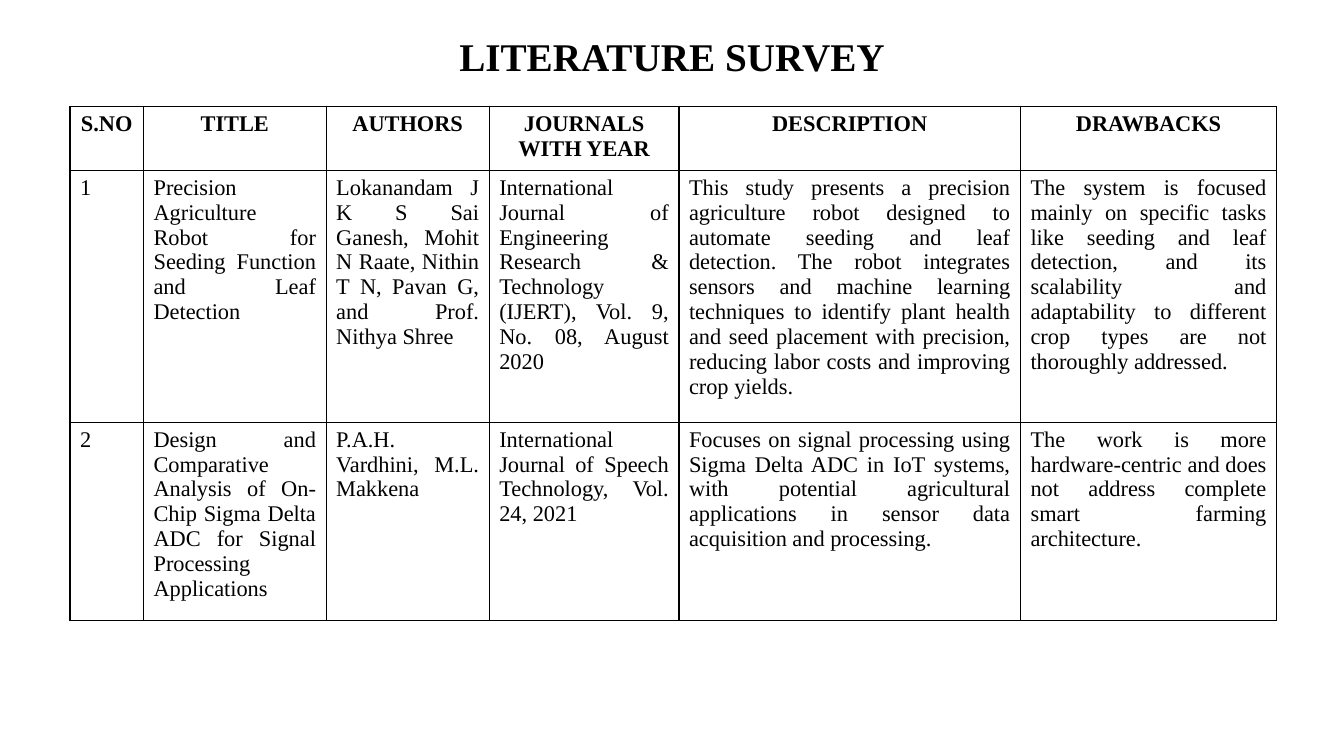
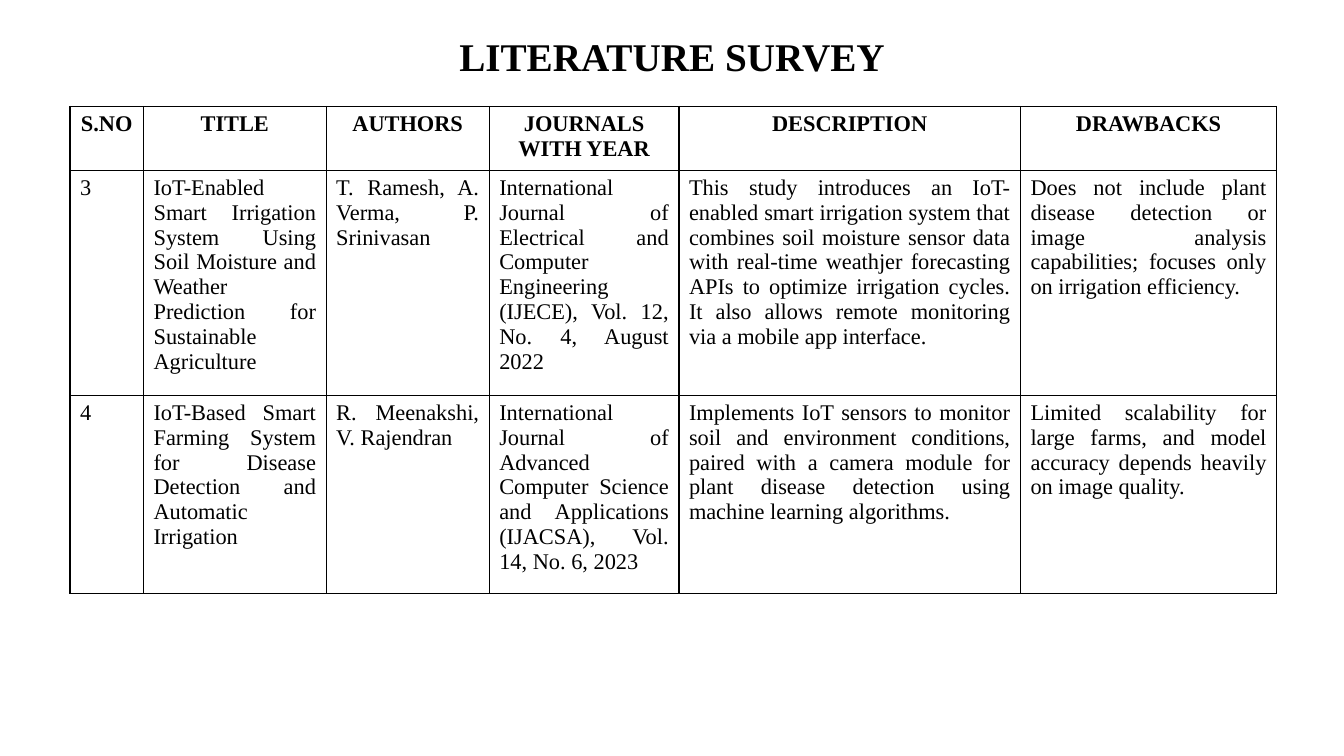
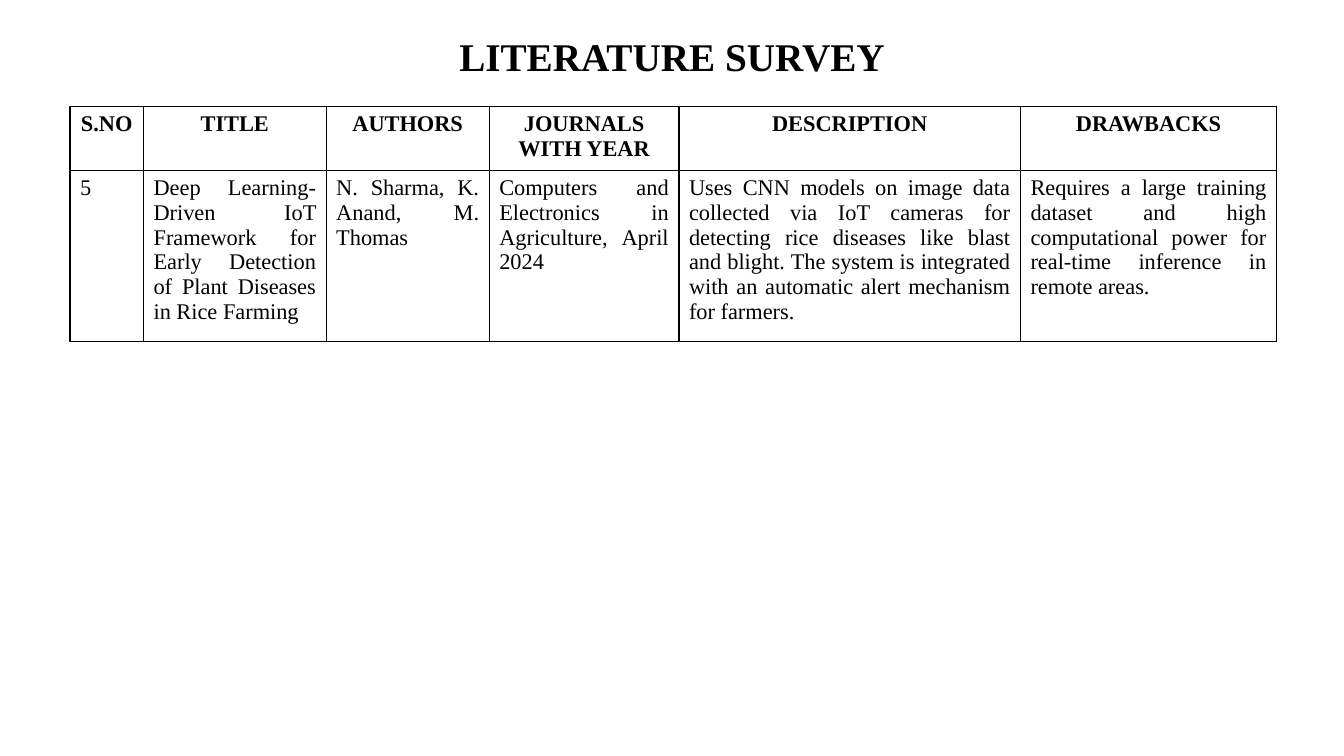
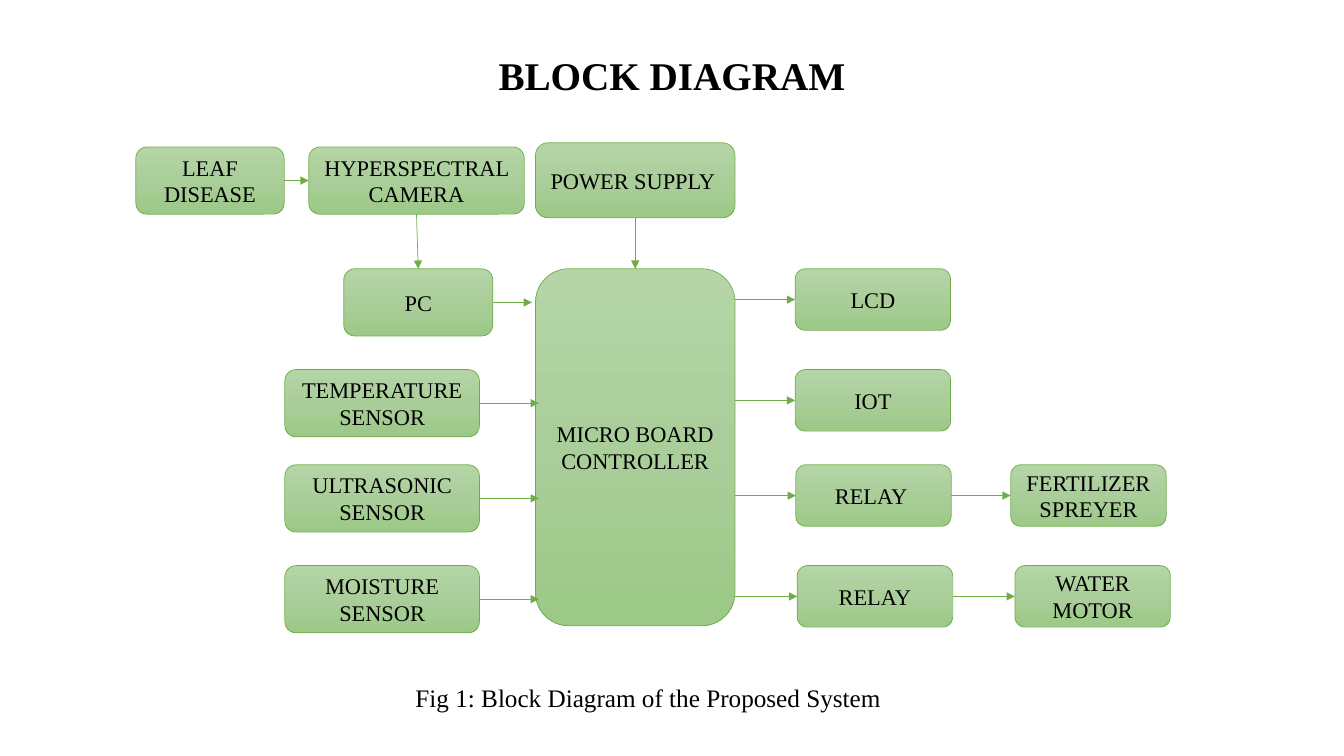
from copy import deepcopy

from lxml.etree import SubElement
from pptx import Presentation
from pptx.dml.color import RGBColor
from pptx.enum.shapes import MSO_CONNECTOR as Line, MSO_SHAPE as Preset
from pptx.enum.text import MSO_ANCHOR as Anchor, PP_ALIGN as Align
from pptx.oxml.ns import qn
from pptx.util import Pt

COLOURS = {
    "text": "000000",
    "grid": "000000",
    "outline": "70AD47",
    "block_top": "B5D5A7",
    "block_middle": "AACE9A",
    "block_bottom": "9CC987",
}
BODY = {"name": "Times New Roman", "size": Pt(16), "bold": False}
HEADING = {**BODY, "bold": True}
TITLE = {**HEADING, "size": Pt(28)}
CAPTION = {**BODY, "size": Pt(18)}

TOP, LEFT, BOTTOM, RIGHT = range(4)

HEADINGS = ["S.NO", "TITLE", "AUTHORS", "JOURNALS WITH YEAR", "DESCRIPTION", "DRAWBACKS"]
COLUMN_WIDTHS = [52.5, 130.5, 116.5, 135.5, 244, 183]
HEADING_HEIGHT = 42.5

SURVEYS = [
    [
        (167, [
            "1",
            "Precision Agriculture Robot for Seeding Function and Leaf Detection",
            "Lokanandam J K S Sai Ganesh, Mohit N Raate, Nithin T N, Pavan G, and Prof. Nithya Shree",
            "International Journal of Engineering Research & Technology (IJERT), Vol. 9, No. 08, August 2020",
            "This study presents a precision agriculture robot designed to automate seeding and leaf "
            "detection. The robot integrates sensors and machine learning techniques to identify plant "
            "health and seed placement with precision, reducing labor costs and improving crop yields.",
            "The system is focused mainly on specific tasks like seeding and leaf detection, and its "
            "scalability and adaptability to different crop types are not thoroughly addressed.",
        ]),
        (131.5, [
            "2",
            "Design and Comparative Analysis of On-Chip Sigma Delta ADC for Signal Processing Applications",
            "P.A.H. Vardhini, M.L. Makkena",
            "International Journal of Speech Technology, Vol. 24, 2021",
            "Focuses on signal processing using Sigma Delta ADC in IoT systems, with potential "
            "agricultural applications in sensor data acquisition and processing.",
            "The work is more hardware-centric and does not address complete smart farming architecture.",
        ]),
    ],
    [
        (149.5, [
            "3",
            "IoT-Enabled Smart Irrigation System Using Soil Moisture and Weather Prediction for "
            "Sustainable Agriculture",
            "T. Ramesh, A. Verma, P. Srinivasan",
            "International Journal of Electrical and Computer Engineering (IJECE), Vol. 12, No. 4, August 2022",
            "This study introduces an IoT-enabled smart irrigation system that combines soil moisture "
            "sensor data with real-time weathjer forecasting APIs to optimize irrigation cycles. It also "
            "allows remote monitoring via a mobile app interface.",
            "Does not include plant disease detection or image analysis capabilities; focuses only on "
            "irrigation efficiency.",
        ]),
        (131.5, [
            "4",
            "IoT-Based Smart Farming System for Disease Detection and Automatic Irrigation",
            "R. Meenakshi, V. Rajendran",
            "International Journal of Advanced Computer Science and Applications (IJACSA), Vol. 14, No. 6, 2023",
            "Implements IoT sensors to monitor soil and environment conditions, paired with a camera "
            "module for plant disease detection using machine learning algorithms.",
            "Limited scalability for large farms, and model accuracy depends heavily on image quality.",
        ]),
    ],
    [
        (113.5, [
            "5",
            "Deep Learning-Driven IoT Framework for Early Detection of Plant Diseases in Rice Farming",
            "N. Sharma, K. Anand, M. Thomas",
            "Computers and Electronics in Agriculture, April 2024",
            "Uses CNN models on image data collected via IoT cameras for detecting rice diseases like "
            "blast and blight. The system is integrated with an automatic alert mechanism for farmers.",
            "Requires a large training dataset and high computational power for real-time inference in "
            "remote areas.",
        ]),
    ],
]

ROW_TOPS = [192, 264, 332, 404]
CONTROLLER_LEFT, CONTROLLER_WIDTH = 382.5, 142.5
OUTPUT_SIZE = (111, 44)
INPUT_HEIGHT = 48


def colour(name):
    return RGBColor.from_string(COLOURS[name])


def write(frame, text, style, align=Align.CENTER, spacing=None):
    paragraph = frame.paragraphs[0]
    paragraph.alignment = align
    paragraph.line_spacing = spacing
    run = paragraph.add_run()
    run.text = text
    for name, value in style.items():
        setattr(run.font, name, value)
    run.font.color.rgb = colour("text")


def add_label(slide, text, style, box):
    frame = slide.shapes.add_textbox(*map(Pt, box)).text_frame
    frame.word_wrap = True
    frame.vertical_anchor = Anchor.MIDDLE
    write(frame, text, style, spacing=0.9)


def add_borders(cell):
    properties = cell._tc.get_or_add_tcPr()
    for side in ("a:lnL", "a:lnR", "a:lnT", "a:lnB"):
        border = SubElement(properties, qn(side), w=str(Pt(1)))
        fill = SubElement(border, qn("a:solidFill"))
        SubElement(fill, qn("a:srgbClr"), val=COLOURS["grid"])


def add_survey(slide, papers):
    rows = [(HEADING_HEIGHT, HEADINGS), *papers]
    size = sum(COLUMN_WIDTHS), sum(height for height, _ in rows)
    survey = slide.shapes.add_table(len(rows), len(HEADINGS), Pt(50), Pt(76), *map(Pt, size)).table
    survey.horz_banding = False
    for column, width in zip(survey.columns, COLUMN_WIDTHS):
        column.width = Pt(width)
    for index, (row, (height, texts)) in enumerate(zip(survey.rows, rows)):
        row.height = Pt(height)
        style, align = (BODY, Align.JUSTIFY) if index else (HEADING, Align.CENTER)
        for cell, text in zip(row.cells, texts):
            add_borders(cell)
            cell.fill.background()
            write(cell.text_frame, text, style, align)


def add_block(slide, text, left, top, width, height):
    block = slide.shapes.add_shape(Preset.ROUNDED_RECTANGLE, *map(Pt, (left, top, width, height)))
    block.shadow.inherit = False
    block.line.color.rgb = colour("outline")
    block.line.width = Pt(0.5)
    block.fill.gradient()
    block.fill.gradient_angle = 270
    stops = block._element.spPr.find(".//" + qn("a:gsLst"))
    stops.insert(1, deepcopy(stops[0]))
    shades = ("block_top", "block_middle", "block_bottom")
    for stop, shade, position in zip(block.fill.gradient_stops, shades, (0, 0.5, 1)):
        stop.position = position
        stop.color.rgb = colour(shade)
    block.text_frame.word_wrap = True
    block.text_frame.vertical_anchor = Anchor.MIDDLE
    write(block.text_frame, text, BODY)
    return block


def edge(block, side):
    across = block.left + block.width // 2
    down = block.top + block.height // 2
    return {
        TOP: (across, block.top),
        LEFT: (block.left, down),
        BOTTOM: (across, block.top + block.height),
        RIGHT: (block.left + block.width, down),
    }[side]


def add_arrow(slide, start, end):
    arrow = slide.shapes.add_connector(Line.STRAIGHT, *start, *end)
    arrow.line.color.rgb = colour("outline")
    arrow.line.width = Pt(0.5)
    properties = arrow._element.spPr
    SubElement(properties.find(qn("a:ln")), qn("a:tailEnd"), type="triangle")
    SubElement(properties, qn("a:effectLst"))
    return arrow


def link(slide, source, target, out=RIGHT, into=LEFT):
    arrow = add_arrow(slide, edge(source, out), edge(target, into))
    arrow.begin_connect(source, out)
    arrow.end_connect(target, into)


def link_from(slide, source, end_x):
    start = edge(source, RIGHT)
    add_arrow(slide, start, (Pt(end_x), start[1])).begin_connect(source, RIGHT)


def link_to(slide, start_x, target):
    end = edge(target, LEFT)
    add_arrow(slide, (Pt(start_x), end[1]), end).end_connect(target, LEFT)


def add_diagram(slide):
    controller = add_block(slide, "MICRO BOARD CONTROLLER", CONTROLLER_LEFT, ROW_TOPS[0], CONTROLLER_WIDTH, 255)
    power = add_block(slide, "POWER SUPPLY ", CONTROLLER_LEFT, 102, CONTROLLER_WIDTH, 53.5)
    leaf = add_block(slide, "LEAF DISEASE", 97, 105, 106, INPUT_HEIGHT)
    camera = add_block(slide, "HYPERSPECTRAL CAMERA", 220.5, 105, 154, INPUT_HEIGHT)
    computer = add_block(slide, "PC", 245.5, ROW_TOPS[0], 106.5, INPUT_HEIGHT)
    sensors = [
        add_block(slide, f"{kind} SENSOR", 203.5, top, 139, INPUT_HEIGHT)
        for kind, top in zip(("TEMPERATURE", "ULTRASONIC", "MOISTURE"), ROW_TOPS[1:])
    ]
    outputs = [
        add_block(slide, text, left, top, *OUTPUT_SIZE)
        for text, left, top in zip(("LCD", "IOT", "RELAY ", "RELAY"), (568, 568, 568.5, 569.5), ROW_TOPS)
    ]
    actuators = [
        add_block(slide, text, left, top, *OUTPUT_SIZE)
        for text, left, top in zip(("FERTILIZER SPREYER", "WATER MOTOR"), (722, 725), ROW_TOPS[2:])
    ]

    link(slide, power, controller, BOTTOM, TOP)
    link(slide, leaf, camera)
    link(slide, camera, computer, BOTTOM, TOP)
    link_from(slide, computer, CONTROLLER_LEFT - 2.5)
    for sensor in sensors:
        link_from(slide, sensor, CONTROLLER_LEFT + 2.5)
    for output in outputs:
        link_to(slide, CONTROLLER_LEFT + CONTROLLER_WIDTH, output)
    for relay, actuator in zip(outputs[2:], actuators):
        link(slide, relay, actuator)


def main():
    deck = Presentation()
    deck.slide_width, deck.slide_height = Pt(960), Pt(540)
    blank = deck.slide_layouts[6]

    for papers in SURVEYS:
        slide = deck.slides.add_slide(blank)
        add_label(slide, "LITERATURE SURVEY", TITLE, (48, 17, 864, 50))
        add_survey(slide, papers)

    slide = deck.slides.add_slide(blank)
    add_label(slide, "BLOCK DIAGRAM", TITLE, (66, 23, 828, 65))
    add_diagram(slide)
    add_label(slide, "Fig 1: Block Diagram of the Proposed System", CAPTION, (49, 467, 828, 65))

    deck.save("out.pptx")


if __name__ == "__main__":
    main()
